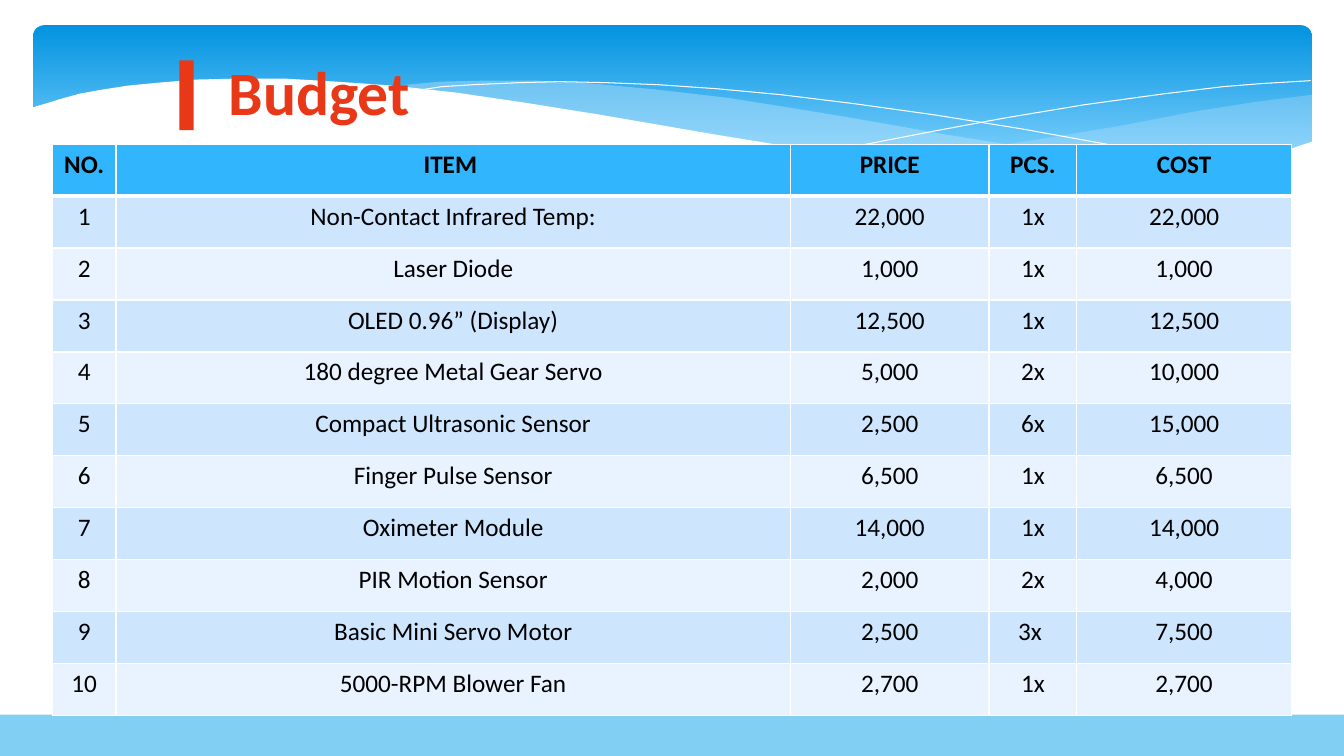
from dataclasses import dataclass

from lxml import etree
from pptx import Presentation
from pptx.dml.color import RGBColor
from pptx.enum.shapes import MSO_SHAPE
from pptx.enum.text import MSO_ANCHOR, PP_ALIGN
from pptx.oxml.ns import qn
from pptx.util import Inches, Pt

RECTANGLE = MSO_SHAPE.RECTANGLE
ROUNDED = MSO_SHAPE.ROUNDED_RECTANGLE
MIDDLE = MSO_ANCHOR.MIDDLE
CENTER = PP_ALIGN.CENTER
BLANK_LAYOUT = 6


@dataclass(frozen=True)
class Theme:
    font: str = "Calibri"
    title_size: int = 44
    table_size: int = 18
    title: str = "E83818"
    text: str = "000000"
    white: str = "FFFFFF"
    sky_top: str = "0293E0"
    sky_bottom: str = "83D3FE"
    mist: str = "C6E7FC"
    footer: str = "82CFF4"
    header: str = "31B6FD"
    bands: tuple = ("CEE5FE", "E8F3FF")
    grid_width: int = 1
    header_rule_width: int = 3


THEME = Theme()

RIGHT_WAVE = [
    (13.01, 0.94), (12.46, 1.01), (11.88, 1.1), (11.1, 1.25), (10.38, 1.37),
    (9.72, 1.47), (8.82, 1.6), (9.4, 1.65), (9.93, 1.69), (10.41, 1.72),
    (10.99, 1.72), (11.51, 1.7), (11.96, 1.65), (12.47, 1.56), (13.01, 1.42),
]
MIDDLE_WAVE = [
    (11.9, 1.67), (11.16, 1.59), (10.34, 1.49), (9.41, 1.34), (8.39, 1.16),
    (7.78, 1.06), (7.21, 0.97), (6.52, 0.89), (5.89, 0.83), (5.32, 0.8),
    (4.82, 0.8), (4.37, 0.81), (3.82, 0.86), (4.31, 0.9), (4.83, 0.97),
    (5.39, 1.06), (5.99, 1.16), (7.06, 1.35), (8.02, 1.5), (8.87, 1.61),
    (9.63, 1.68), (10.3, 1.72), (10.9, 1.73), (11.43, 1.71),
]
FALLING_LINE = [
    (4.12, 0.9), (4.38, 0.86), (4.7, 0.84), (5.16, 0.82), (5.55, 0.81),
    (6, 0.82), (6.52, 0.84), (7.1, 0.88), (7.75, 0.94), (8.48, 1.03),
    (9.27, 1.14), (10.14, 1.28), (11.08, 1.45), (12.1, 1.66),
]
RISING_LINE = [
    (8.18, 1.51), (8.7, 1.41), (9.27, 1.3), (9.97, 1.17), (10.75, 1.04),
    (11.55, 0.93), (12.13, 0.86), (12.5, 0.83), (13, 0.8),
]
WHITE_WAVE = [
    (13.03, 1.4), (12.79, 1.48), (12.54, 1.54), (12.27, 1.59), (11.98, 1.64),
    (11.51, 1.69), (10.97, 1.71), (10.37, 1.7), (9.69, 1.67), (8.91, 1.6),
    (8.04, 1.49), (7.06, 1.33), (5.96, 1.14), (5.21, 1.02), (4.53, 0.92),
    (3.9, 0.85), (3.33, 0.81), (2.82, 0.78), (2.35, 0.78), (1.94, 0.79),
    (1.58, 0.82), (1.27, 0.85), (1.01, 0.89), (0.79, 0.93), (0.61, 0.98),
    (0.48, 1.02), (0.31, 1.07), (0.31, 2.24), (13.03, 2.24),
]

HEADINGS = ("NO.", "ITEM ", "PRICE", "PCS.", "COST")
COLUMN_WIDTHS = (0.63, 6.69, 1.97, 0.87, 2.13)
BUDGET = [
    ("Non-Contact Infrared Temp:", "22,000", "1x", "22,000"),
    ("Laser Diode", "1,000", "1x", "1,000"),
    ("OLED 0.96” (Display)", "12,500", "1x", "12,500"),
    ("180 degree Metal Gear Servo", "5,000", "2x", "10,000"),
    ("Compact Ultrasonic Sensor", "2,500", "6x", "15,000"),
    ("Finger Pulse Sensor", "6,500", "1x", "6,500"),
    ("Oximeter Module", "14,000", "1x", "14,000"),
    ("PIR Motion Sensor", "2,000", "2x", "4,000"),
    ("Basic Mini Servo Motor", "2,500", "3x ", "7,500"),
    ("5000-RPM Blower Fan", "2,700", "1x", "2,700"),
]


def rgb(color):
    return RGBColor.from_string(color)


def add_block(slide, box, color, kind=RECTANGLE):
    block = slide.shapes.add_shape(kind, *map(Inches, box))
    block.shadow.inherit = False
    block.fill.solid()
    block.fill.fore_color.rgb = rgb(color)
    block.line.fill.background()
    return block


def add_outline(slide, origin, points, closed):
    left, top = origin
    placed = [(Inches(left + x), Inches(top + y)) for x, y in points]
    builder = slide.shapes.build_freeform(*placed[0], scale=1.0)
    builder.add_line_segments(placed[1:], close=closed)
    outline = builder.convert_to_shape()
    outline.shadow.inherit = False
    return outline


def add_wave(slide, origin, points, color, opacity=100):
    wave = add_outline(slide, origin, points, True)
    wave.line.fill.background()
    wave.fill.solid()
    wave.fill.fore_color.rgb = rgb(color)
    if opacity < 100:
        tint = wave.fill._xPr.find(qn("a:solidFill"))[0]
        etree.SubElement(tint, qn("a:alpha"), val=str(opacity * 1000))


def add_hairline(slide, origin, points):
    hairline = add_outline(slide, origin, points, False)
    hairline.fill.background()
    hairline.line.color.rgb = rgb(THEME.white)
    hairline.line.width = Pt(0)


def add_banner(slide, box):
    left, top, width, height = box
    sky = add_block(slide, (left + 0.33, top + 0.25, width - 0.65, height - 0.68),
                    THEME.sky_top, ROUNDED)
    sky.adjustments[0] = 0.07
    sky.fill.gradient()
    sky.fill.gradient_angle = 270
    stops = ((0, THEME.sky_top), (0.9, THEME.sky_bottom))
    for stop, (position, color) in zip(sky.fill.gradient_stops, stops):
        stop.position = position
        stop.color.rgb = rgb(color)
    origin = (left, top)
    add_wave(slide, origin, RIGHT_WAVE, THEME.mist, 29)
    add_wave(slide, origin, MIDDLE_WAVE, THEME.mist, 40)
    add_hairline(slide, origin, FALLING_LINE)
    add_hairline(slide, origin, RISING_LINE)
    add_wave(slide, origin, WHITE_WAVE, THEME.white)


def add_title(slide, box):
    left, top, width, height = box
    heading = slide.shapes.add_textbox(
        *map(Inches, (left + 0.39, top, width - 0.39, height))).text_frame
    heading.word_wrap = True
    heading.vertical_anchor = MIDDLE
    heading.text = "Budget"
    style_text(heading.paragraphs[0], THEME.title_size, THEME.title, True)
    add_block(slide, (left, top + 0.24, 0.14, 0.69), THEME.title)


def style_text(paragraph, size, color, bold):
    paragraph.font.name = THEME.font
    paragraph.font.size = Pt(size)
    paragraph.font.bold = bold
    paragraph.font.color.rgb = rgb(color)


def add_cell_borders(cell, widths):
    properties = cell._tc.get_or_add_tcPr()
    for side, width in widths.items():
        border = etree.SubElement(properties, qn(f"a:ln{side}"), w=str(Pt(width)))
        paint = etree.SubElement(border, qn("a:solidFill"))
        etree.SubElement(paint, qn("a:srgbClr"), val=THEME.white)


def add_budget_table(slide, box):
    rows = [HEADINGS] + [(str(n), *entry) for n, entry in enumerate(BUDGET, 1)]
    budget = slide.shapes.add_table(
        len(rows), len(HEADINGS), *map(Inches, box)).table
    for column, width in zip(budget.columns, COLUMN_WIDTHS):
        column.width = Inches(width)
    thin, thick = THEME.grid_width, THEME.header_rule_width
    for r, values in enumerate(rows):
        is_header = r == 0
        color = THEME.header if is_header else THEME.bands[(r - 1) % 2]
        widths = {"L": thin, "R": thin, "T": thick if r == 1 else thin,
                  "B": thick if is_header else thin}
        for c, value in enumerate(values):
            cell = budget.cell(r, c)
            add_cell_borders(cell, widths)
            cell.fill.solid()
            cell.fill.fore_color.rgb = rgb(color)
            cell.text = value
            paragraph = cell.text_frame.paragraphs[0]
            paragraph.alignment = CENTER
            style_text(paragraph, THEME.table_size, THEME.text, is_header)


def main():
    deck = Presentation()
    deck.slide_width = Inches(13.33)
    deck.slide_height = Inches(7.5)
    slide = deck.slides.add_slide(deck.slide_layouts[BLANK_LAYOUT])
    add_banner(slide, (0, 0, 13.33, 2.24))
    add_title(slide, (1.78, 0.36, 9.39, 1.08))
    add_block(slide, (0, 7.09, 13.33, 0.41), THEME.footer)
    add_budget_table(slide, (0.52, 1.43, 12.29, 5.67))
    deck.save("out.pptx")


if __name__ == "__main__":
    main()
